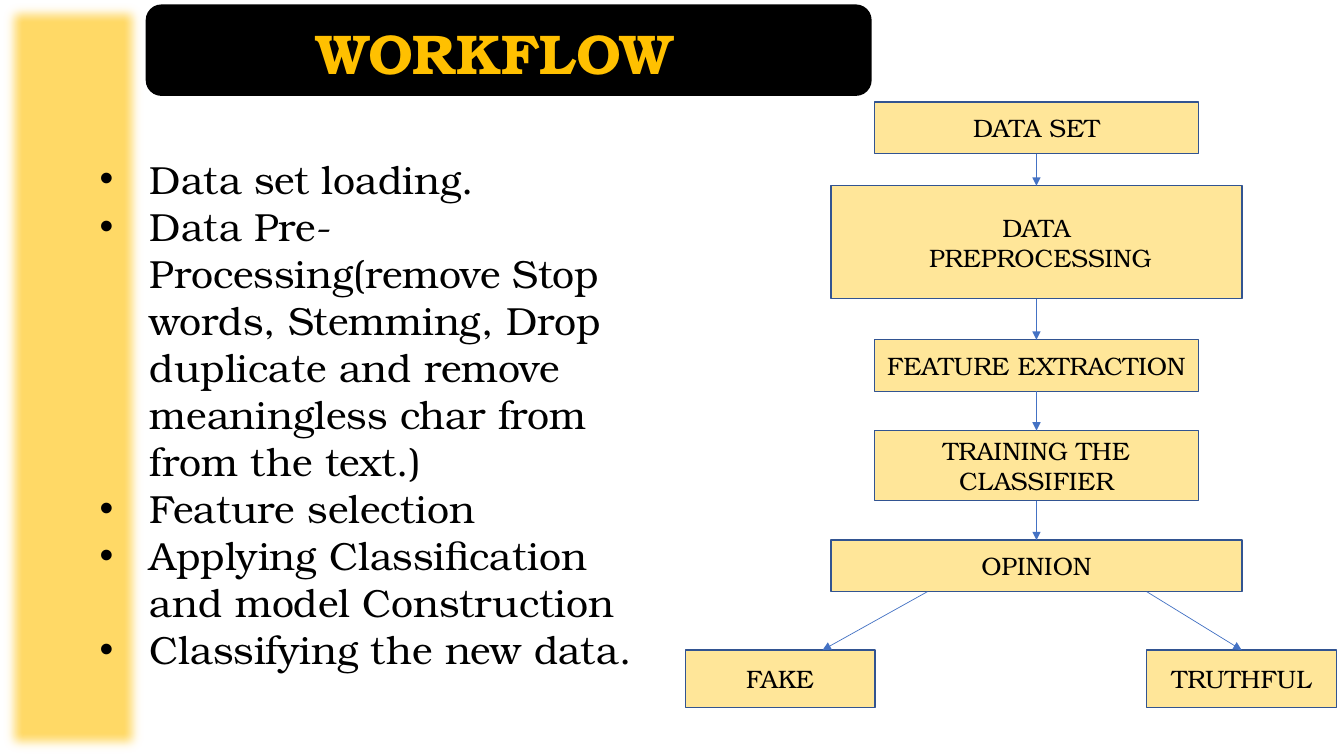
import pptx
import pptx.util
import pptx.dml.color
import pptx.enum.shapes
import pptx.enum.text
import pptx.oxml
import pptx.oxml.ns
from pptx.util import Cm, Pt

FONT = "TeX Gyre Bonum"
SHAPE = pptx.enum.shapes.MSO_SHAPE
ALIGN = pptx.enum.text.PP_ALIGN
MIDDLE = pptx.enum.text.MSO_ANCHOR.MIDDLE
NS = pptx.oxml.ns.nsdecls("a")
AXIS = 26.12  # centre of the flow chart, in cm

# Flow steps: top, width, height in cm, text
STEPS = [
    (2.57, 8.16, 1.3, "DATA SET"),
    (4.68, 10.36, 2.85, "DATA\n PREPROCESSING"),
    (8.56, 8.16, 1.3, "FEATURE EXTRACTION"),
    (10.85, 8.16, 1.77, "TRAINING THE\nCLASSIFIER"),
    (13.61, 10.36, 1.3, "OPINION"),
]
# Outcomes: centre, arrow start, arrow end in cm, text
ENDS = [
    (19.66, 23.37, 20.73, "FAKE"),
    (31.29, 28.9, 31.29, "TRUTHFUL"),
]
POINTS = [
    "Data set loading.",
    "Data Pre-Processing(remove Stop words, Stemming, Drop duplicate "
    "and remove meaningless char from from the text.)",
    "Feature selection",
    "Applying Classification and model Construction",
    "Classifying the new data.",
]


def color(code):
    return pptx.dml.color.RGBColor.from_string(code)


def xml(text):
    return pptx.oxml.parse_xml(text)


def place(left, top, width, height):
    return Cm(left), Cm(top), Cm(width), Cm(height)


def style(frame, size, code, align, bold=False):
    for para in frame.paragraphs:
        para.alignment = align
        for run in para.runs:
            run.font.name = FONT
            run.font.size = Pt(size)
            run.font.bold = bold
            run.font.color.rgb = color(code)


def panel(slide, kind, box, fill, line=None):
    shape = slide.shapes.add_shape(kind, *place(*box))
    shape.shadow.inherit = False
    shape.fill.solid()
    shape.fill.fore_color.rgb = color(fill)
    if line:
        shape.line.color.rgb = color(line)
        shape.line.width = Pt(1)
    else:
        shape.line.fill.background()
    return shape


def step(slide, center, top, width, height, text):
    box = (center - width / 2, top, width, height)
    shape = panel(slide, SHAPE.RECTANGLE, box, "FFE699", "325491")
    frame = shape.text_frame
    frame.text = text
    frame.vertical_anchor = MIDDLE
    style(frame, 18, "000000", ALIGN.CENTER)


def arrow(slide, x1, y1, x2, y2):
    line = slide.shapes.add_connector(
        pptx.enum.shapes.MSO_CONNECTOR.STRAIGHT, *place(x1, y1, x2, y2))
    line.line.color.rgb = color("4472C4")
    line.line.width = Pt(0.5)
    line.line._get_or_add_ln().append(xml(f'<a:tailEnd {NS} type="triangle"/>'))
    line._element.spPr.append(xml(f"<a:effectLst {NS}/>"))


def head(slide):
    title = slide.shapes.title
    title.left, title.top, title.width, title.height = place(-0.38, 0, 25.7, 2.84)
    frame = title.text_frame
    frame.text = "WORKFLOW"
    frame.vertical_anchor = MIDDLE
    frame.paragraphs[0].line_spacing = 0.9
    style(frame, 40, "FFC000", ALIGN.CENTER, True)
    # Bring the title in front of its plate
    slide.shapes._spTree.append(title._element)


def bullets(slide, box, points):
    frame = slide.shapes.add_textbox(*place(*box)).text_frame
    frame.word_wrap = True
    frame.text = "\n".join(points)
    style(frame, 28, "000000", ALIGN.LEFT)
    for para in frame.paragraphs:
        props = para._p.get_or_add_pPr()
        props.set("marL", str(Cm(1.27)))
        props.set("indent", str(-Cm(1.27)))
        props.append(xml(f'<a:buFont {NS} typeface="Arial"/>'))
        props.append(xml(f'<a:buChar {NS} char="•"/>'))


def main():
    deck = pptx.Presentation()
    deck.slide_width, deck.slide_height = Cm(33.87), Cm(19.05)
    slide = deck.slides.add_slide(deck.slide_layouts[5])

    # Side band with soft edges, title plate and title
    band = panel(slide, SHAPE.RECTANGLE, (0, 0, 3.69, 19.05), "FFD966")
    glow = band._element.spPr.find(pptx.oxml.ns.qn("a:effectLst"))
    glow.append(xml(f'<a:softEdge {NS} rad="{Cm(0.32)}"/>'))
    panel(slide, SHAPE.ROUNDED_RECTANGLE, (3.69, 0.13, 18.26, 2.27),
          "000000", "000000")
    head(slide)

    # Bullet list
    bullets(slide, (2.26, 3.78, 14.66, 13.41), POINTS)

    # Flow chart
    for top, width, height, text in STEPS:
        step(slide, AXIS, top, width, height, text)
    for upper, lower in zip(STEPS, STEPS[1:]):
        arrow(slide, AXIS, upper[0] + upper[2], AXIS, lower[0])

    # Two outcomes
    base = STEPS[-1][0] + STEPS[-1][2]
    for center, start, end, text in ENDS:
        step(slide, center, 16.38, 4.78, 1.45, text)
        arrow(slide, start, base, end, 16.38)

    deck.save("out.pptx")


main()
